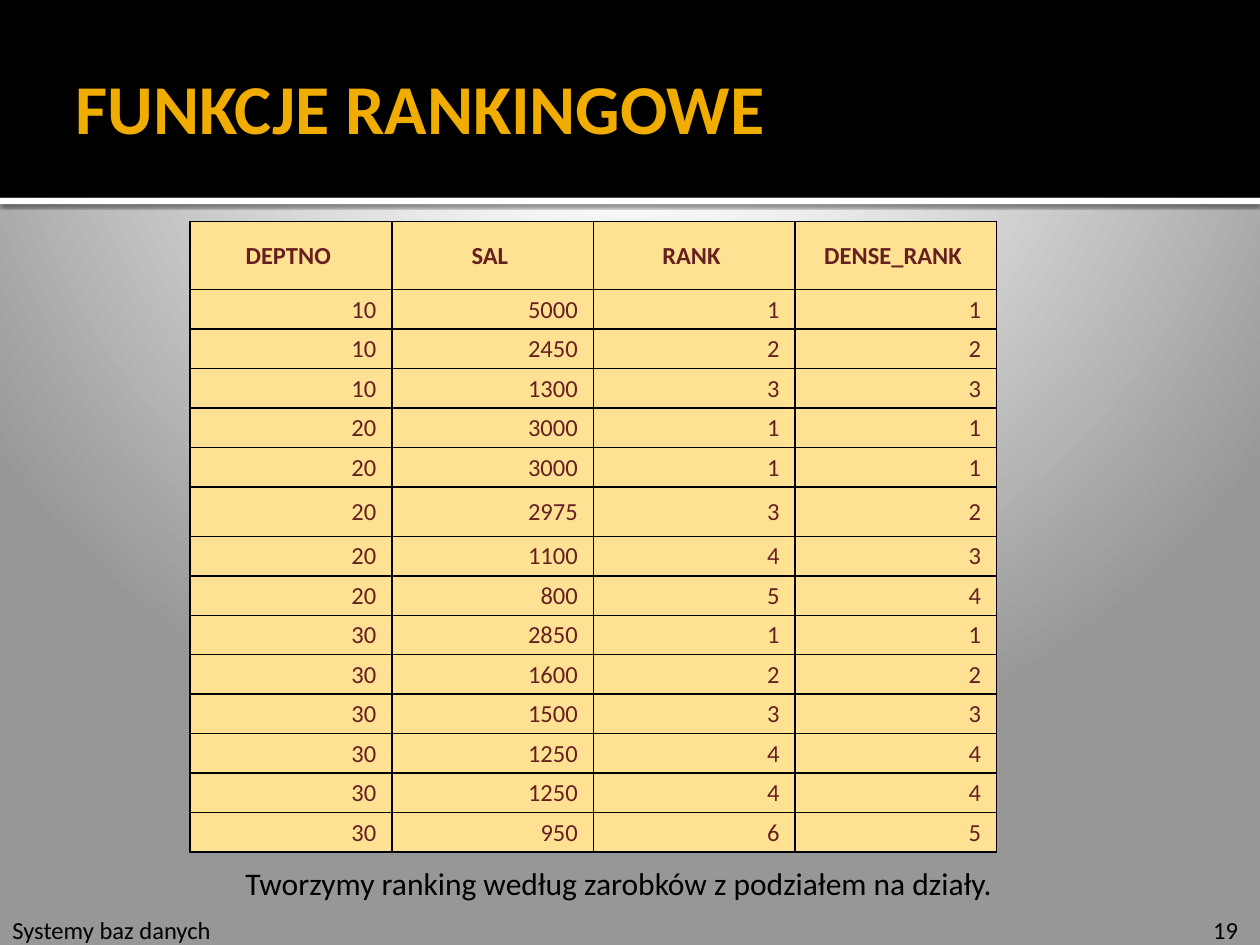
import pptx
import pptx.util
import pptx.oxml
import pptx.oxml.ns
import pptx.dml.color
import pptx.enum.shapes
import pptx.enum.text
from pptx.util import Inches

COLORS = {
    "black": "000000",
    "white": "FFFFFF",
    "edge": "979797",
    "title": "F0AD00",
    "cell": "FFE193",
    "cell_text": "672020",
}
NS = pptx.oxml.ns.nsdecls("a")
ALIGN = pptx.enum.text.PP_ALIGN
MIDDLE = pptx.enum.text.MSO_ANCHOR.MIDDLE


def add_run(paragraph, text, size, color, bold=False):
    run = paragraph.add_run()
    run.text = text
    run.font.name = "Calibri"
    run.font.size = pptx.util.Pt(size)
    run.font.bold = bold
    run.font.color.rgb = pptx.dml.color.RGBColor.from_string(COLORS[color])


prs = pptx.Presentation()
prs.slide_width = Inches(10)
prs.slide_height = Inches(7.5)
slide = prs.slides.add_slide(prs.slide_layouts[6])

slide.background.fill.gradient()
gradient = slide.element.xpath(".//p:bgPr/a:gradFill")[0]
stops = "".join(
    f'<a:gs pos="{position * 1000}"><a:srgbClr val="{COLORS[color]}"/></a:gs>'
    for position, color in [(0, "white"), (12, "white"), (20, "white"), (100, "edge")]
)
gradient.getparent().replace(gradient, pptx.oxml.parse_xml(
    f'<a:gradFill {NS} rotWithShape="1"><a:gsLst>{stops}</a:gsLst><a:path path="circle">'
    '<a:fillToRect l="10000" t="-25000" r="10000" b="125000"/></a:path></a:gradFill>'
))

for top, height, color in [(1.57, 0.05, "white"), (0, 1.57, "black")]:
    band = slide.shapes.add_shape(
        pptx.enum.shapes.MSO_SHAPE.RECTANGLE, 0, Inches(top), Inches(10), Inches(height)
    )
    band.shadow.inherit = False
    band.fill.solid()
    band.fill.fore_color.rgb = pptx.dml.color.RGBColor.from_string(COLORS[color])
    band.line.fill.background()
    if color == "white":
        band.element.spPr.find(pptx.oxml.ns.qn("a:effectLst")).append(pptx.oxml.parse_xml(
            f'<a:outerShdw {NS} blurRad="31750" dist="10160" dir="5400000" algn="tl" rotWithShape="0">'
            f'<a:srgbClr val="{COLORS["black"]}"><a:alpha val="60000"/></a:srgbClr></a:outerShdw>'
        ))

texts = [
    ("Systemy baz danych", 0, 7.21, 2.87, 0.34, 14, "black"),
    ("19", 9.53, 7.21, 0.47, 0.34, 14, "black"),
    ("FUNKCJE RANKINGOWE", 0.5, 0.46, 9, 0.77, 40, "title"),
    ("Tworzymy ranking według zarobków z podziałem na działy.", 1.85, 6.81, 6.54, 0.4, 18, "black"),
]
for text, left, top, width, height, size, color in texts:
    frame = slide.shapes.add_textbox(
        Inches(left), Inches(top), Inches(width), Inches(height)
    ).text_frame
    frame.word_wrap = True
    if color == "title":
        frame.vertical_anchor = MIDDLE
        frame.margin_right = Inches(0.05)
    else:
        frame.auto_size = pptx.enum.text.MSO_AUTO_SIZE.SHAPE_TO_FIT_TEXT
    add_run(frame.paragraphs[0], text, size, color, color == "title")

rows = [
    ("DEPTNO", "SAL", "RANK", "DENSE_RANK"),
    (10, 5000, 1, 1),
    (10, 2450, 2, 2),
    (10, 1300, 3, 3),
    (20, 3000, 1, 1),
    (20, 3000, 1, 1),
    (20, 2975, 3, 2),
    (20, 1100, 4, 3),
    (20, 800, 5, 4),
    (30, 2850, 1, 1),
    (30, 1600, 2, 2),
    (30, 1500, 3, 3),
    (30, 1250, 4, 4),
    (30, 1250, 4, 4),
    (30, 950, 6, 5),
]
special_heights = {0: 0.54, 6: 0.39}
ranking = slide.shapes.add_table(
    len(rows), len(rows[0]), Inches(1.51), Inches(1.76), Inches(6.41), Inches(4.98)
).table
ranking.horz_banding = False
for column in ranking.columns:
    column.width = Inches(1.6)

for row_index, values in enumerate(rows):
    header = row_index == 0
    ranking.rows[row_index].height = Inches(special_heights.get(row_index, 0.31))
    for column_index, value in enumerate(values):
        cell = ranking.cell(row_index, column_index)
        cell.vertical_anchor = MIDDLE
        cell.margin_left = cell.margin_right = Inches(0.08)
        cell.margin_top = cell.margin_bottom = Inches(0.04)
        paragraph = cell.text_frame.paragraphs[0]
        paragraph.alignment = ALIGN.CENTER if header else ALIGN.RIGHT
        add_run(paragraph, f"{value} ", 14, "cell_text", header)
        properties = cell._tc.get_or_add_tcPr()
        for side in ("lnL", "lnR", "lnT", "lnB"):
            properties.append(pptx.oxml.parse_xml(
                f'<a:{side} {NS} w="12700"><a:solidFill><a:srgbClr val="{COLORS["black"]}"/>'
                f'</a:solidFill></a:{side}>'
            ))
        cell.fill.solid()
        cell.fill.fore_color.rgb = pptx.dml.color.RGBColor.from_string(COLORS["cell"])

prs.save("out.pptx")
